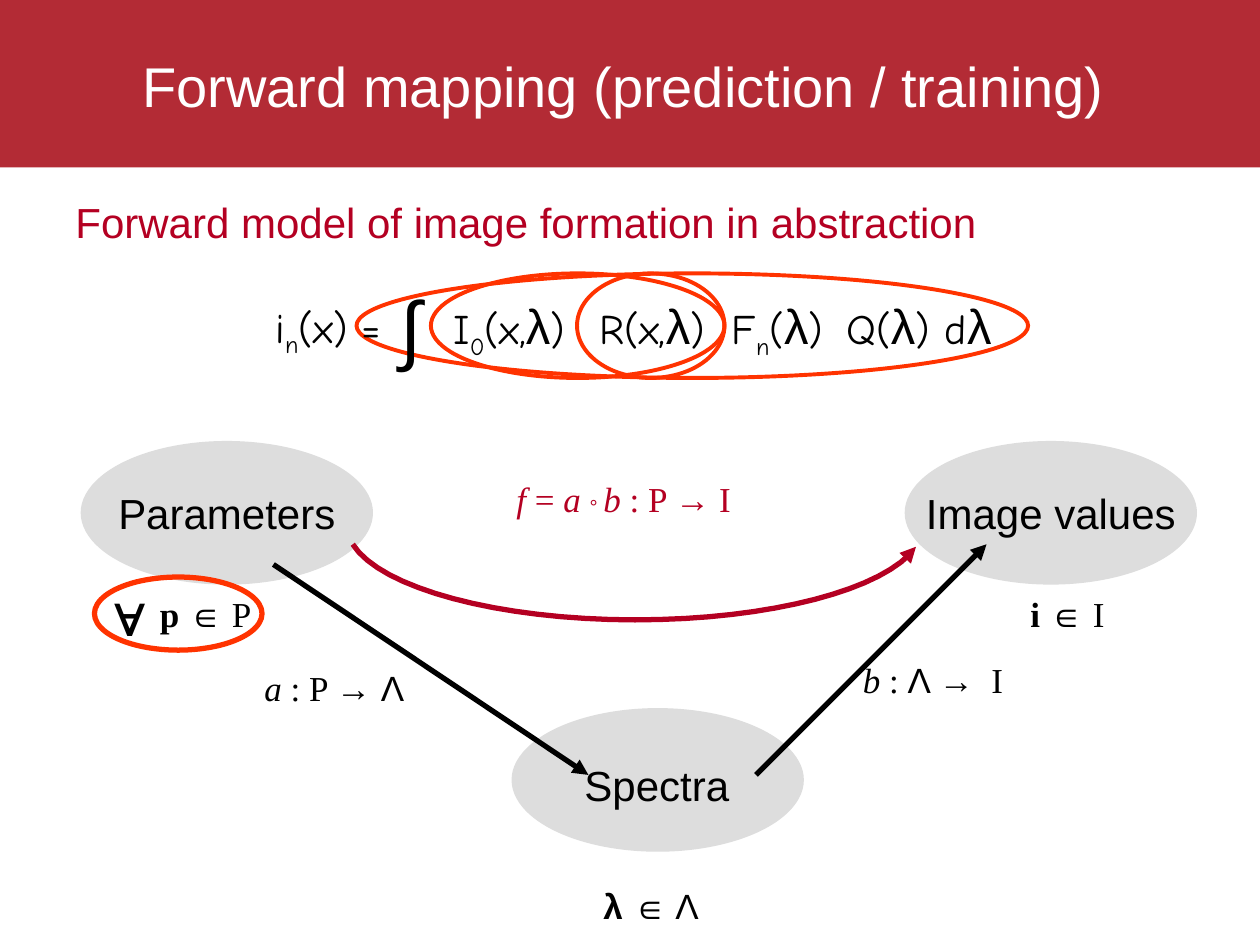
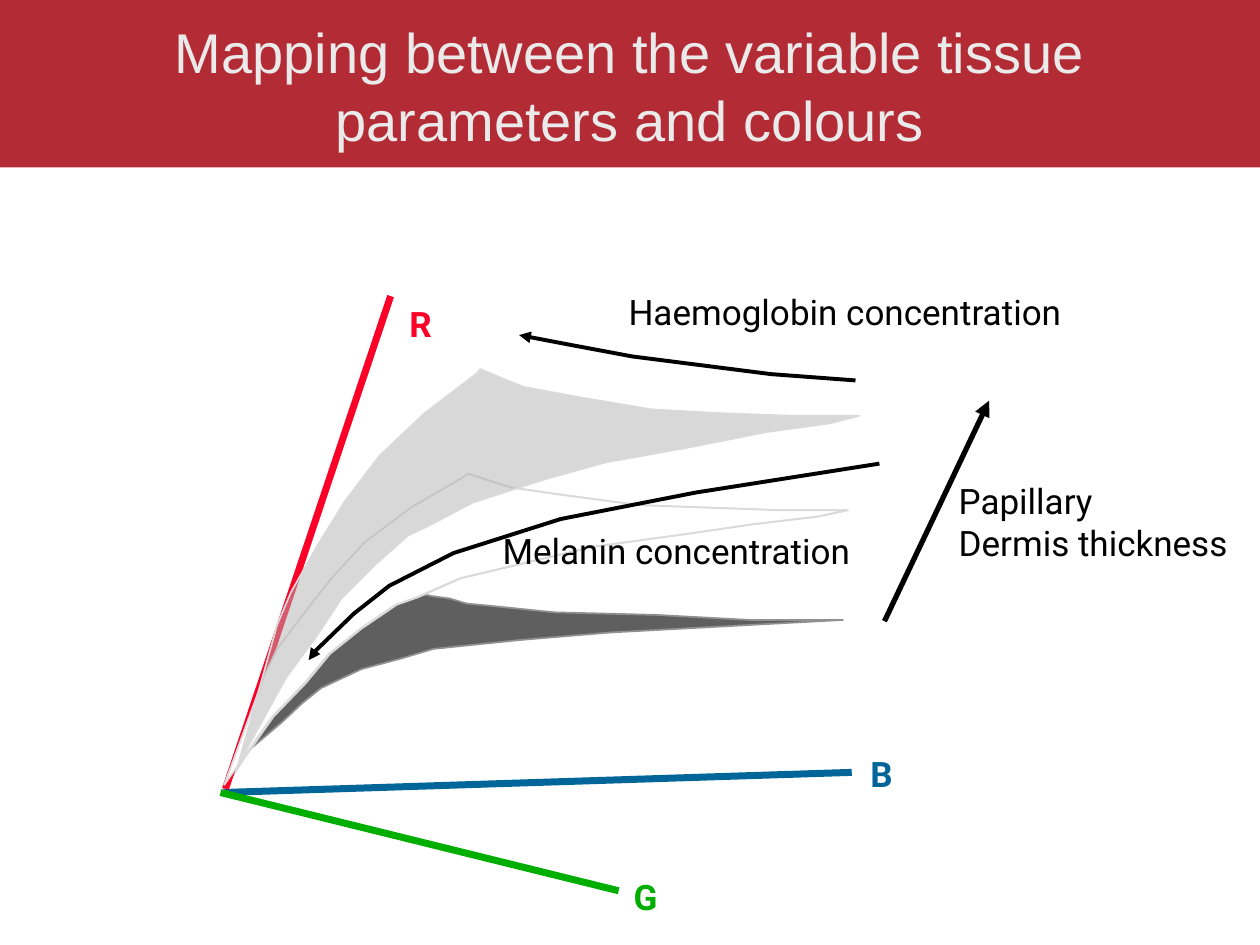
from lxml import etree
from pptx import Presentation
from pptx.dml.color import RGBColor
from pptx.enum.shapes import MSO_CONNECTOR, MSO_SHAPE
from pptx.enum.text import MSO_ANCHOR, PP_ALIGN
from pptx.oxml.ns import qn
from pptx.util import Inches, Pt

# Shared look
BAND_RED = RGBColor(0xB3, 0x2B, 0x35)
DARK_RED = RGBColor(0xB4, 0x00, 0x22)
ORANGE = RGBColor(0xFF, 0x33, 0x00)
BLACK = RGBColor(0x00, 0x00, 0x00)
WHITE = RGBColor(0xFF, 0xFF, 0xFF)
OFF_WHITE = RGBColor(0xEA, 0xEA, 0xEA)
NODE_GREY = RGBColor(0xDD, 0xDD, 0xDD)
EDGE_GREY = RGBColor(0xDA, 0xDA, 0xDA)
MIDDLE_GREY = RGBColor(0xB2, 0xB2, 0xB2)
DARK_GREY = RGBColor(0x5F, 0x5F, 0x5F)
DARK_EDGE = RGBColor(0x91, 0x91, 0x91)
AXIS_RED = RGBColor(0xFC, 0x01, 0x28)
AXIS_GREEN = RGBColor(0x00, 0xAE, 0x00)
AXIS_BLUE = RGBColor(0x00, 0x66, 0x99)

# Grid of square cells: 10 columns by 7.5 rows
CELL = Inches(1)

ARIAL = {"font": "Arial"}
TIMES = {"font": "Times New Roman"}
ITALIC = {"font": "Times New Roman", "italic": True}
BOLD = {"font": "Times New Roman", "bold": True}
SUBSCRIPT = {"baseline": -25}
LAMBDA = ("λ", {"font": "Arial", "size": 28})
LINE_END = (" ", {"font": "Arial", "size": 25})


def add_text(slide, text, left, top, width, height, wrap=False, inset=0.1,
             align=PP_ALIGN.LEFT, anchor=MSO_ANCHOR.TOP, **base):
    """Text is a string, or a list of (words, format) runs in one paragraph."""
    box = slide.shapes.add_textbox(*(round(n * CELL) for n in (left, top, width, height)))
    frame = box.text_frame
    frame.word_wrap = wrap
    frame.vertical_anchor = anchor
    frame.margin_left = round(inset * CELL)
    lines = [[(line, {})] for line in text.split("\n")] if isinstance(text, str) else [text]
    for index, runs in enumerate(lines):
        paragraph = frame.add_paragraph() if index else frame.paragraphs[0]
        paragraph.alignment = align
        for words, changes in runs:
            style = {"font": "Arial", "size": 20, "color": BLACK} | base | changes
            run = paragraph.add_run()
            run.text = words
            run.font.name = style["font"]
            run.font.size = Pt(style["size"])
            run.font.color.rgb = style["color"]
            run.font.bold = style.get("bold", False)
            run.font.italic = style.get("italic", False)
            if "baseline" in style:
                run._r.get_or_add_rPr().set("baseline", str(style["baseline"] * 1000))


def add_outline(slide, points, color, width, fill=None, opacity=100, arrow=False):
    """Two points make a connector, more make a freeform; an arrow ends at the last."""
    corners = [(round(x * CELL), round(y * CELL)) for x, y in points]
    if len(corners) == 2:
        shape = slide.shapes.add_connector(MSO_CONNECTOR.STRAIGHT, *corners[0], *corners[1])
        etree.SubElement(shape._element.spPr, qn("a:effectLst"))
    else:
        builder = slide.shapes.build_freeform(*corners[0])
        builder.add_line_segments(corners[1:], close=fill is not None)
        shape = builder.convert_to_shape()
        shape.shadow.inherit = False
        if fill is None:
            shape.fill.background()
        else:
            shape.fill.solid()
            shape.fill.fore_color.rgb = fill
            if opacity < 100:
                fill_color = shape._element.spPr.find(qn("a:solidFill"))[0]
                etree.SubElement(fill_color, qn("a:alpha"), val=str(opacity * 1000))
    shape.line.color.rgb = color
    shape.line.width = Pt(width)
    if arrow:
        line = shape._element.spPr.find(qn("a:ln"))
        etree.SubElement(line, qn("a:tailEnd"), type="triangle")


presentation = Presentation()
presentation.slide_width = 10 * CELL
presentation.slide_height = round(7.5 * CELL)

# Red band and title on both slides
slides = []
for title, color, inset in [
    ("Forward mapping (prediction / training)", WHITE, 0),
    ("Mapping between the variable tissue parameters and colours", OFF_WHITE, 0.1),
]:
    slide = presentation.slides.add_slide(presentation.slide_layouts[6])
    band = slide.shapes.add_shape(MSO_SHAPE.RECTANGLE, 0, 0, 10 * CELL, round(1.33 * CELL))
    band.shadow.inherit = False
    band.fill.solid()
    band.fill.fore_color.rgb = BAND_RED
    band.line.fill.background()
    add_text(slide, title, 0.75, 0.05, 8.5, 1.25, wrap=True, inset=inset, size=32,
             color=color, align=PP_ALIGN.CENTER, anchor=MSO_ANCHOR.MIDDLE)
    slides.append(slide)
forward_slide, colour_slide = slides

# Slide 1: grey nodes, then orange rings around parts of the formula
ellipses = [(left, top, 2.32, 1.14, NODE_GREY, None)
            for left, top in [(0.64, 3.5), (4.06, 5.62), (7.18, 3.5)]]
ellipses += [(left, 2.17, width, 0.83, None, 2.25)
             for left, width in [(4.58, 1.17), (3.42, 2.33), (2.83, 5.33)]]
ellipses.append((0.75, 4.58, 1.33, 0.58, None, 3))
for left, top, width, height, fill, line_width in ellipses:
    ellipse = forward_slide.shapes.add_shape(
        MSO_SHAPE.OVAL, *(round(n * CELL) for n in (left, top, width, height)))
    ellipse.shadow.inherit = False
    if fill is None:
        ellipse.fill.background()
        ellipse.line.color.rgb = ORANGE
        ellipse.line.width = Pt(line_width)
    else:
        ellipse.fill.solid()
        ellipse.fill.fore_color.rgb = fill
        ellipse.line.fill.background()

# Heading and node labels
add_text(forward_slide, "Forward model of image formation in abstraction",
         0.5, 1.51, 7.75, 0.5, size=24, color=DARK_RED)
for label, left, top, width in [("Parameters", 0.84, 3.82, 1.92),
                                ("Spectra", 4.54, 5.98, 1.35),
                                ("Image values", 7.25, 3.82, 2.18)]:
    add_text(forward_slide, label, left, top, width, 0.5, size=24)

# Image formation formula; the left side needs a box wide enough for its equals sign
for runs, left, top, width in [
    ([("i", {}), ("n", SUBSCRIPT), ("(x) =", {})], 2.09, 2.34, 1.2),
    ([("∫", {"font": "Arial", "size": 44})], 3.08, 2.17, 0.55),
    ([("I", {}), ("0", SUBSCRIPT), ("(x,", {}), LAMBDA, (")", {})], 3.5, 2.3, 1.1),
    ([("R(x,", {}), LAMBDA, (")", {})], 4.66, 2.3, 1.05),
    ([("F", {}), ("n", SUBSCRIPT), ("(", {}), LAMBDA, (")", {})], 5.71, 2.3, 0.94),
    ([("Q(", {}), LAMBDA, (")", {})], 6.62, 2.3, 0.88),
    ([("d", {}), LAMBDA], 7.4, 2.3, 0.59),
]:
    add_text(forward_slide, runs, left, top, width, 0.6, font="Comic Neue", size=24)

# Set memberships and mappings
add_text(forward_slide, "∀", 0.8, 4.56, 0.52, 0.64, size=32, bold=True)
for runs, left, top, width in [
    ([("p ", BOLD), ("∈", ARIAL), (" P", TIMES), LINE_END], 1.17, 4.58, 1.08),
    ([("λ ", {"bold": True}), ("∈ Λ", ARIAL), LINE_END], 4.69, 6.9, 1.04),
    ([("i ", BOLD), ("∈", ARIAL), (" I", TIMES), LINE_END], 8.08, 4.58, 0.92),
    ([("a", ITALIC), (" : P ", TIMES), ("→ Λ", ARIAL), LINE_END], 2, 5.17, 1.67),
    ([("b", ITALIC), (" : ", TIMES), ("Λ →", ARIAL), ("  I", TIMES)], 6.75, 5.18, 1.58),
]:
    add_text(forward_slide, runs, left, top, width, 0.52, wrap=True)
add_text(forward_slide,
         [("f", ITALIC), (" = ", TIMES), ("a ", ITALIC), ("° ", {"baseline": -6}),
          ("b", ITALIC), (" : P ", TIMES), ("→", ARIAL), (" I", TIMES)],
         4, 3.74, 2.5, 0.44, wrap=True, color=DARK_RED)

# Arrows between the nodes; the red one follows two Bézier arcs
for points in ([(2.17, 4.48), (4.67, 6.15)], [(6, 6.15), (7.83, 4.32)]):
    add_outline(forward_slide, points, BLACK, 3, arrow=True)
STEPS = 16
curve = [(2.8, 4.32)]
for arc in ([(2.8, 4.32), (3.02, 4.67), (3.96, 4.92), (5.04, 4.92)],
            [(5.04, 4.92), (6.11, 4.92), (7.03, 4.68), (7.27, 4.34)]):
    for step in range(1, STEPS + 1):
        t = step / STEPS
        weights = ((1 - t) ** 3, 3 * t * (1 - t) ** 2, 3 * t ** 2 * (1 - t), t ** 3)
        curve.append(tuple(sum(w * point[axis] for w, point in zip(weights, arc))
                           for axis in (0, 1)))
add_outline(forward_slide, curve, DARK_RED, 3, arrow=True)

# Slide 2: colour surfaces for thin, middle and thick papillary dermis
thin_surface = [
    (1.77, 6.27), (1.98, 5.95), (2.24, 5.73), (2.4, 5.58), (2.55, 5.46), (2.87, 5.31),
    (3.17, 5.23), (3.44, 5.15), (4.12, 5.08), (4.84, 5.02), (6.69, 4.92), (5.95, 4.92),
    (5.2, 4.88), (4.4, 4.86), (3.91, 4.81), (3.7, 4.79), (3.57, 4.75), (3.42, 4.73),
    (3.27, 4.69), (3.21, 4.73), (3.08, 4.77), (2.87, 4.86), (2.57, 5.06), (2.32, 5.33),
    (2.17, 5.56), (2.05, 5.75)]
middle_surface = [
    (1.78, 6.23), (2.1, 5.36), (2.2, 5.15), (2.42, 4.86), (2.63, 4.59), (2.9, 4.3),
    (3.26, 4.03), (3.69, 3.78), (3.71, 3.76), (4.05, 3.87), (4.47, 3.93), (5.07, 4.01),
    (5.62, 4.03), (6.17, 4.05), (6.57, 4.05), (6.72, 4.05), (6.49, 4.1), (5.98, 4.16),
    (5.43, 4.24), (4.7, 4.34), (4.24, 4.45), (3.65, 4.59), (3.31, 4.74), (3.14, 4.8),
    (2.86, 4.99), (2.61, 5.19), (2.42, 5.42), (2.16, 5.69)]
thick_surface = [
    (1.89, 6.07), (2.2, 4.96), (2.31, 4.7), (2.52, 4.33), (2.73, 3.99), (3.01, 3.62),
    (3.37, 3.28), (3.79, 2.96), (3.81, 2.93), (4.15, 3.07), (4.58, 3.15), (5.17, 3.25),
    (5.72, 3.28), (6.27, 3.3), (6.68, 3.3), (6.82, 3.3), (6.59, 3.36), (6.08, 3.43),
    (5.53, 3.54), (4.81, 3.67), (4.34, 3.8), (3.75, 3.99), (3.41, 4.17), (3.24, 4.25),
    (2.97, 4.49), (2.71, 4.75), (2.52, 5.04), (2.27, 5.38)]
middle_echo = [(x + 0.01, y) for x, y in middle_surface]

# Axes and surfaces, from back to front
add_outline(colour_slide, [(1.77, 6.29), (6.76, 6.13)], AXIS_BLUE, 4)
add_outline(colour_slide, [(1.75, 6.29), (4.91, 7.07)], AXIS_GREEN, 4)
add_outline(colour_slide, thin_surface, DARK_EDGE, 1, fill=DARK_GREY)
add_outline(colour_slide, middle_echo, EDGE_GREY, 1, fill=WHITE, opacity=50)
add_outline(colour_slide, [(1.79, 6.26), (3.1, 2.35)], AXIS_RED, 4)
add_outline(colour_slide, middle_surface, EDGE_GREY, 1, fill=WHITE)
add_outline(colour_slide, thick_surface, EDGE_GREY, 1, fill=MIDDLE_GREY, opacity=50)

# Arrows for the growing parameters
haemoglobin_arrow = [(6.79, 3.02), (6.12, 2.97), (5.02, 2.83), (4.54, 2.74), (4.12, 2.66)]
melanin_arrow = [(6.98, 3.68), (5.52, 3.91), (4.45, 4.12), (3.6, 4.39), (3.09, 4.65),
                 (2.81, 4.87), (2.49, 5.18), (2.45, 5.24)]
thickness_arrow = [(7.02, 4.93), (7.85, 3.18)]
for points, width in [(haemoglobin_arrow, 2.25), (melanin_arrow, 2.25), (thickness_arrow, 3)]:
    add_outline(colour_slide, points, BLACK, width, arrow=True)

# Axis letters and parameter names
for label, left, top, width, color in [
    ("R", 3.15, 2.35, 0.38, AXIS_RED),
    ("G", 4.93, 6.9, 0.4, AXIS_GREEN),
    ("B", 6.81, 5.92, 0.39, AXIS_BLUE),
    ("Haemoglobin concentration", 4.89, 2.26, 3.87, BLACK),
    ("Melanin concentration", 3.89, 4.15, 3.14, BLACK),
    ("Papillary\nDermis thickness", 7.51, 3.76, 2.43, BLACK),
]:
    add_text(colour_slide, label, left, top, width, 0.43 + 0.33 * label.count("\n"),
             font="Roboto", color=color, bold=color != BLACK)

presentation.save("out.pptx")
